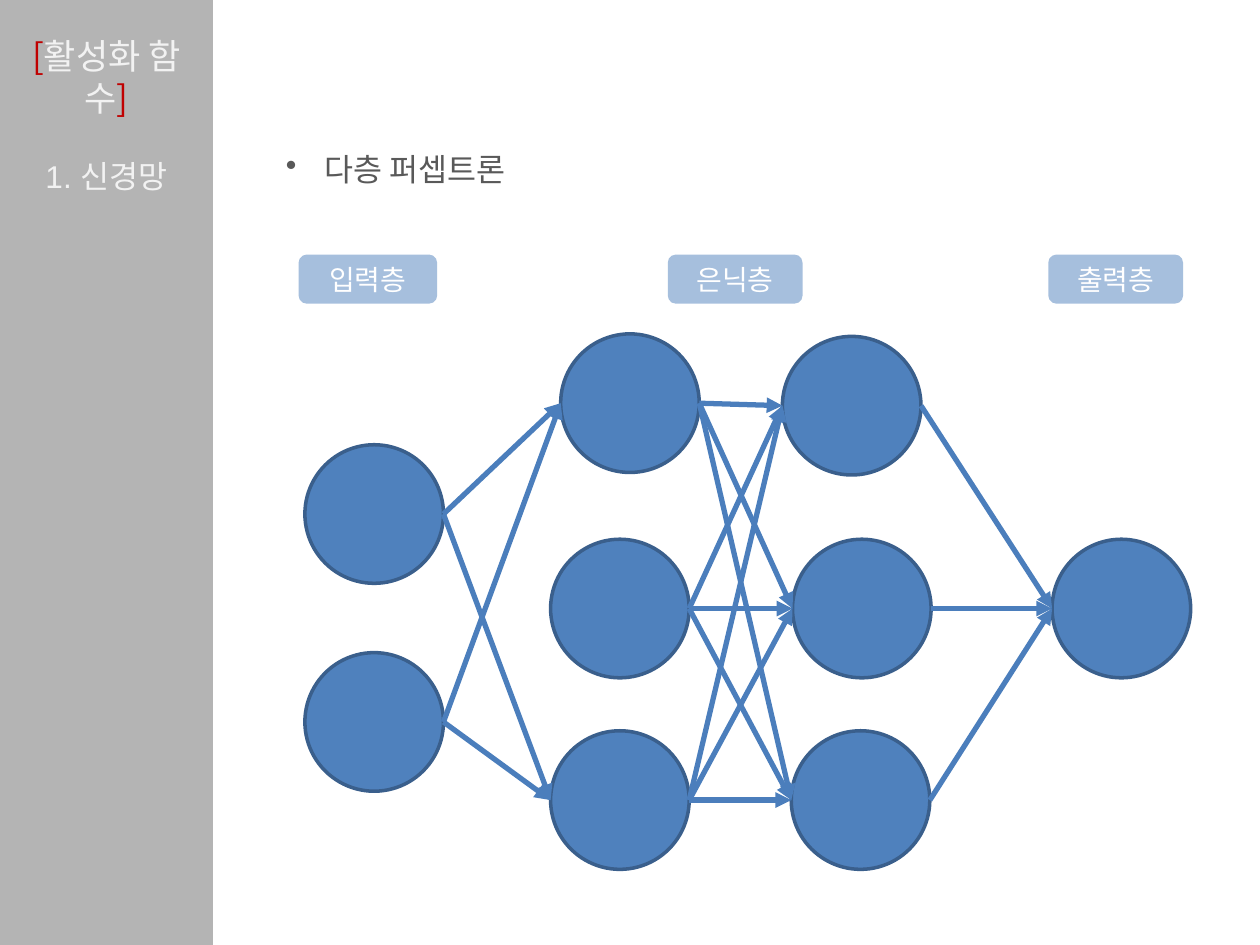
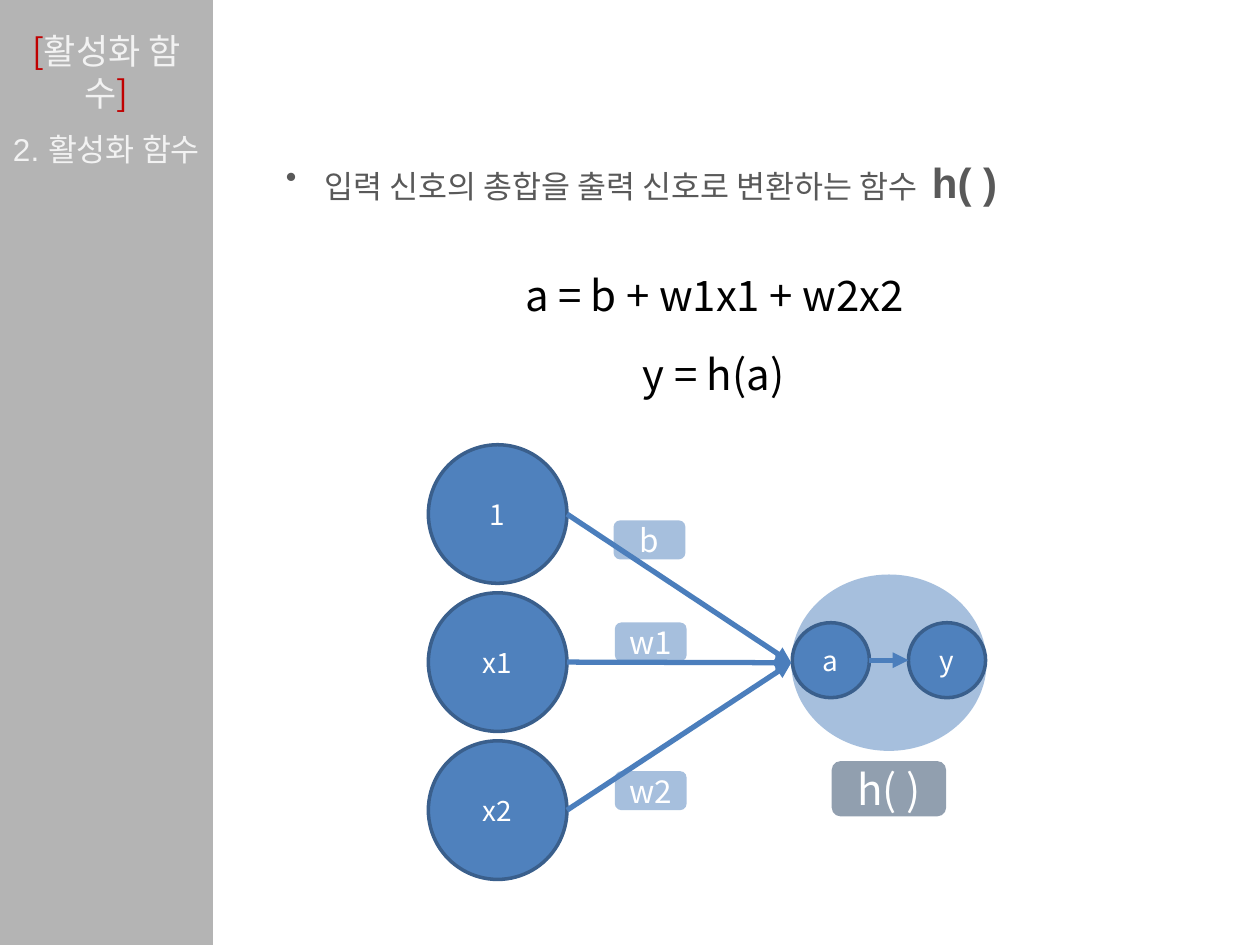
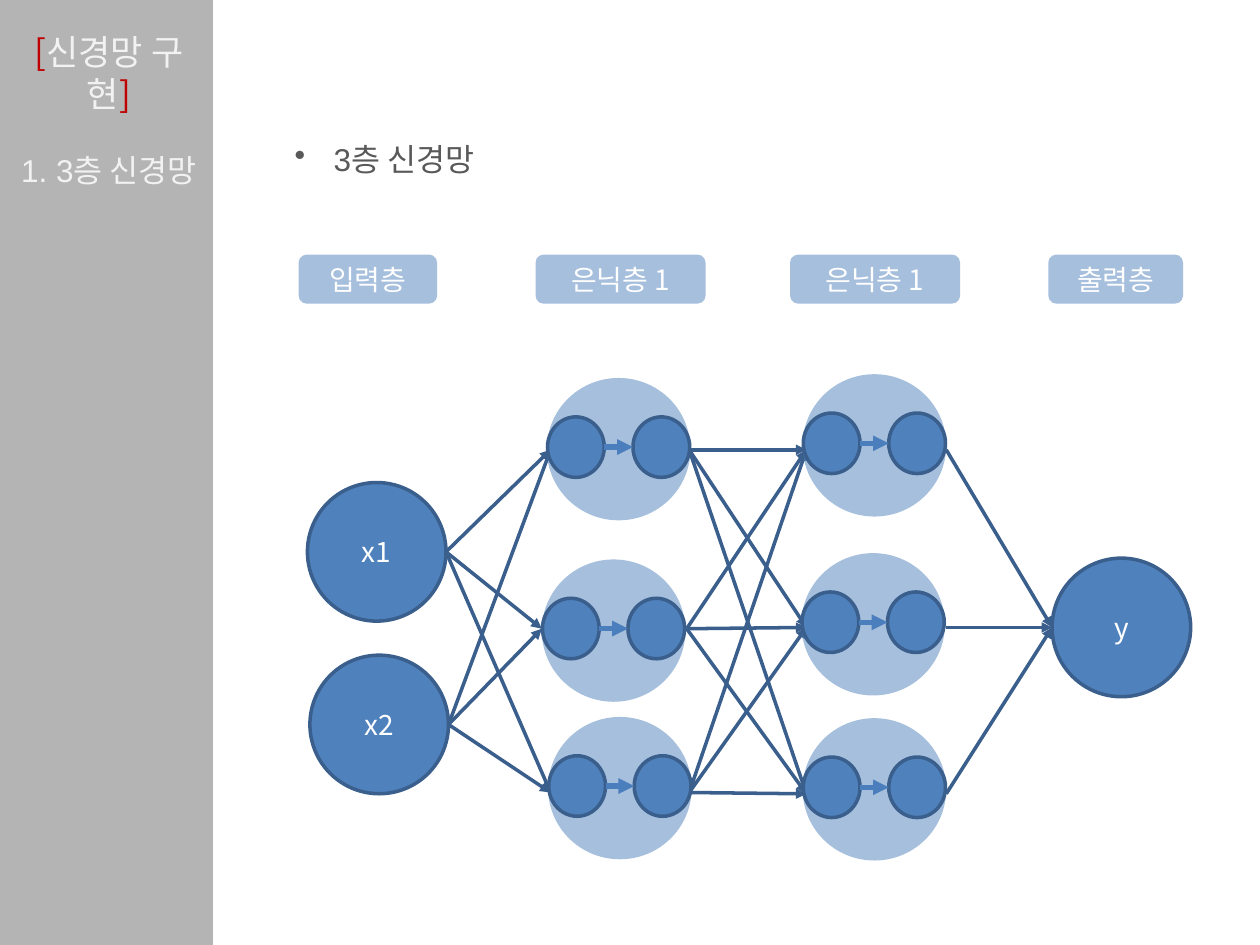
import itertools

import pptx
import pptx.dml.color
import pptx.enum.shapes
import pptx.enum.text
import pptx.oxml
import pptx.oxml.ns
import pptx.util

# Shared look
COLS, ROWS = 10, 7.5
UNIT = pptx.util.Inches(1)  # one grid column or row
SANS, LATIN = "Noto Sans CJK KR", "Arial"
BLUE, EDGE, WIRE, NAVY = "4F81BD", "3A5F8C", "4B7EBC", "254061"
DARK, PALE, RED, GREY = "262626", "F2F2F2", "C00000", "595959"
WHITE, BLACK = "FFFFFF", "000000"
SIZE = 1.1             # diameter of a neuron
HULL = (1.14, 1.13)    # small two-part neuron
TAG_Y, TAG_H = 2.02, 0.39

KIND = pptx.enum.shapes.MSO_SHAPE
ALIGN = pptx.enum.text.PP_ALIGN
FIT = pptx.enum.text.MSO_AUTO_SIZE


def rgb(code):
    return pptx.dml.color.RGBColor.from_string(code)


def grid(*cells):
    return [round(c * UNIT) for c in cells]


def tag(parent, name, **attrs):
    """Append an empty drawing element."""
    node = pptx.oxml.parse_xml(f"<a:{name} {pptx.oxml.ns.nsdecls('a')}/>")
    for key, value in attrs.items():
        node.set(key, str(value))
    parent.append(node)


# Text
def text(frame, *runs, size=16, font=SANS, color=WHITE, align=ALIGN.CENTER,
         middle=True, fit=FIT.NONE, pad=None, bullet=False):
    """Fill a frame; a run is a string or (string, own format)."""
    frame.word_wrap = True
    frame.auto_size = fit
    anchor = pptx.enum.text.MSO_ANCHOR
    frame.vertical_anchor = anchor.MIDDLE if middle else anchor.TOP
    if pad is not None:
        frame.margin_left = frame.margin_right = pad
        frame.margin_top = frame.margin_bottom = pad
    para = frame.paragraphs[0]
    para.alignment = align
    if bullet:
        para.line_spacing = 1.5
        props = para._p.get_or_add_pPr()
        indent = grid(0.31)[0]
        props.set("marL", str(indent))
        props.set("indent", str(-indent))
        tag(props, "buChar", char="•")
    for item in runs:
        words, own = (item, {}) if isinstance(item, str) else item
        run = para.add_run()
        run.text = words
        run.font.size = pptx.util.Pt(own.get("size", size))
        run.font.bold = own.get("bold", False)
        run.font.color.rgb = rgb(own.get("color", color))
        run.font.name = font
        tag(run._r.get_or_add_rPr(), "ea", typeface=SANS)


def note(slide, box, *runs, **style):
    frame = slide.shapes.add_textbox(*grid(*box)).text_frame
    text(frame, *runs, middle=False, fit=FIT.SHAPE_TO_FIT_TEXT, **style)


def point(slide, box, *runs):
    note(slide, box, *runs, size=18, font=LATIN, color=GREY,
         align=ALIGN.LEFT, bullet=True)


# Shapes
def shape(slide, kind, box, fill=BLUE, alpha=None, edge=None, words="",
          size=16):
    item = slide.shapes.add_shape(kind, *grid(*box))
    item.shadow.inherit = False
    item.fill.solid()
    item.fill.fore_color.rgb = rgb(fill)
    if alpha:
        tint = item.element.spPr.find(".//" + pptx.oxml.ns.qn("a:srgbClr"))
        tag(tint, "alpha", val=alpha * 1000)
    if edge:
        item.line.color.rgb = rgb(edge)
        item.line.width = pptx.util.Pt(2)
    else:
        item.line.fill.background()
    if words:
        text(item.text_frame, words, size=size, pad=0)
    return item


def node(slide, x, y, words="", w=SIZE, h=SIZE):
    shape(slide, KIND.OVAL, (x, y, w, h), edge=EDGE, words=words)


def label(slide, x, y, w, words, h=TAG_H, **style):
    shape(slide, KIND.ROUNDED_RECTANGLE, (x, y, w, h), alpha=50,
          words=words, **style)


def arrow(slide, start, end, color=WIRE, width=3):
    kind = pptx.enum.shapes.MSO_CONNECTOR.STRAIGHT
    line = slide.shapes.add_connector(kind, *grid(*start, *end))
    line.line.color.rgb = rgb(color)
    line.line.width = pptx.util.Pt(width)
    props = line.element.spPr
    tag(props.find(pptx.oxml.ns.qn("a:ln")), "tailEnd", type="triangle")
    tag(props, "effectLst")


def mesh(slide, starts, ends, **style):
    """Join every start to every end."""
    for start, end in itertools.product(starts, ends):
        arrow(slide, start, end, **style)


def left(spots):
    return [(x, y + SIZE / 2) for x, y in spots]


def right(spots):
    return [(x + SIZE, y + SIZE / 2) for x, y in spots]


def pair(slide, x, y, w, h, names=("", "")):
    """Pale hull with two small neurons, sum and activation."""
    shape(slide, KIND.OVAL, (x, y, w, h), alpha=50)
    wide, high, top = 0.395 * w, 0.425 * h, y + 0.273 * h
    first, second = x + 0.005 * w, x + 0.6 * w
    for spot, name in zip((first, second), names):
        node(slide, spot, top, name, wide, high)
    mid = top + high / 2
    arrow(slide, (first + wide, mid), (second, mid))


# Side band with title and subtitle
def page(deck, head, head_box, sub, sub_box):
    slide = deck.slides.add_slide(deck.slide_layouts[0])
    band = shape(slide, KIND.RECTANGLE, (-0.04, 0, 1.73, ROWS), DARK, 34)
    slide.shapes._spTree.insert(2, band.element)
    title, body = slide.placeholders
    for item, box in ((title, head_box), (body, sub_box)):
        item.left, item.top, item.width, item.height = grid(*box)
    mark = {"color": RED}
    text(title.text_frame, ("[", mark), head, ("]", mark), size=20,
         color=PALE)
    text(body.text_frame, sub, size=18, font=LATIN, color=PALE)
    return slide


# Slides
def layers(deck):
    slide = page(deck, "활성화 함수", (0, 0.3, 1.69, 0.62),
                 "1. 신경망", (0, 1.2, 1.69, 0.39))
    point(slide, (2.17, 0.99, 7.4, 0.5), "다층 퍼셉트론")
    feed = [(2.42, 3.53), (2.42, 5.18)]
    one = [(4.45, 2.65), (4.37, 4.28), (4.37, 5.8)]
    two = [(6.21, 2.67), (6.29, 4.28), (6.28, 5.8)]
    out = [(8.35, 4.28)]
    for spot in feed + one + two + out:
        node(slide, *spot)
    mesh(slide, right(feed), left(one[::2]))
    mesh(slide, right(one), left(two))
    mesh(slide, right(two), left(out))
    for x, w, words in ((2.37, 1.1, "입력층"), (5.3, 1.07, "은닉층"),
                        (8.32, 1.07, "출력층")):
        label(slide, x, TAG_Y, w, words)


def active(deck):
    slide = page(deck, "활성화 함수", (0, 0.26, 1.69, 0.62),
                 "2. 활성화 함수", (-0.08, 0.99, 1.85, 0.39))
    point(slide, (2.17, 0.99, 7.4, 0.63),
          "입력 신호의 총합을 출력 신호로 변환하는 함수  ",
          ("h( )", {"size": 24, "bold": True}))
    for box, words in (((3.66, 2.09, 4.02, 0.5), "a = b + w1x1 + w2x2"),
                       ((4.13, 2.72, 3.07, 0.5), "y = h(a)")):
        note(slide, box, words, size=24, color=BLACK)
    feed = [(3.4, 3.53 + 1.175 * i) for i in range(3)]
    for spot, name in zip(feed, ("1", "x1", "x2")):
        node(slide, *spot, name)
    pair(slide, 6.28, 4.56, 1.55, 1.4, ("a", "y"))
    mesh(slide, right(feed), [(6.28, 5.26)])
    for x, y, name in ((4.87, 4.13, "b"), (4.88, 4.94, "w1"),
                       (4.88, 6.12, "w2")):
        label(slide, x, y, 0.57, name, h=0.31, size=18)
    label(slide, 6.6, 6.04, 0.91, "h( )", h=0.44, fill=NAVY, size=24)


def deep(deck):
    slide = page(deck, "신경망 구현", (0, 0.24, 1.73, 0.67),
                 "1. 3층 신경망", (0, 1.15, 1.73, 0.39))
    point(slide, (2.24, 0.91, 7.4, 0.5), "3층 신경망")
    feed, out = [(2.44, 3.83), (2.46, 5.2)], [(8.35, 4.43)]
    for spot, name in zip(feed + out, ("x1", "x2", "y")):
        node(slide, *spot, name)
    # Wires between the layers
    thin = {"color": EDGE, "width": 2}
    rows = (3.57, 4.98, 6.3)
    mesh(slide, right(feed), [(4.37, 3.57), (4.3, 4.99), (4.37, 6.29)],
         **thin)
    mesh(slide, [(5.47, 3.57), (5.45, 4.99), (5.47, 6.29)],
         [(6.4, y) for y in rows], **thin)
    mesh(slide, [(7.51, y) for y in rows], left(out), **thin)
    # Hidden neurons
    for x, y in ((4.34, 3), (4.3, 4.44), (4.35, 5.69),
                 (6.37, 2.97), (6.36, 4.39), (6.37, 5.7)):
        pair(slide, x, y, *HULL)
    for x, w, words in ((2.37, 1.1, "입력층"), (4.25, 1.35, "은닉층 1"),
                        (6.27, 1.35, "은닉층 1"), (8.32, 1.07, "출력층")):
        label(slide, x, TAG_Y, w, words)


def main():
    deck = pptx.Presentation()
    deck.slide_width, deck.slide_height = grid(COLS, ROWS)
    layers(deck)
    active(deck)
    deep(deck)
    deck.save("out.pptx")


main()
